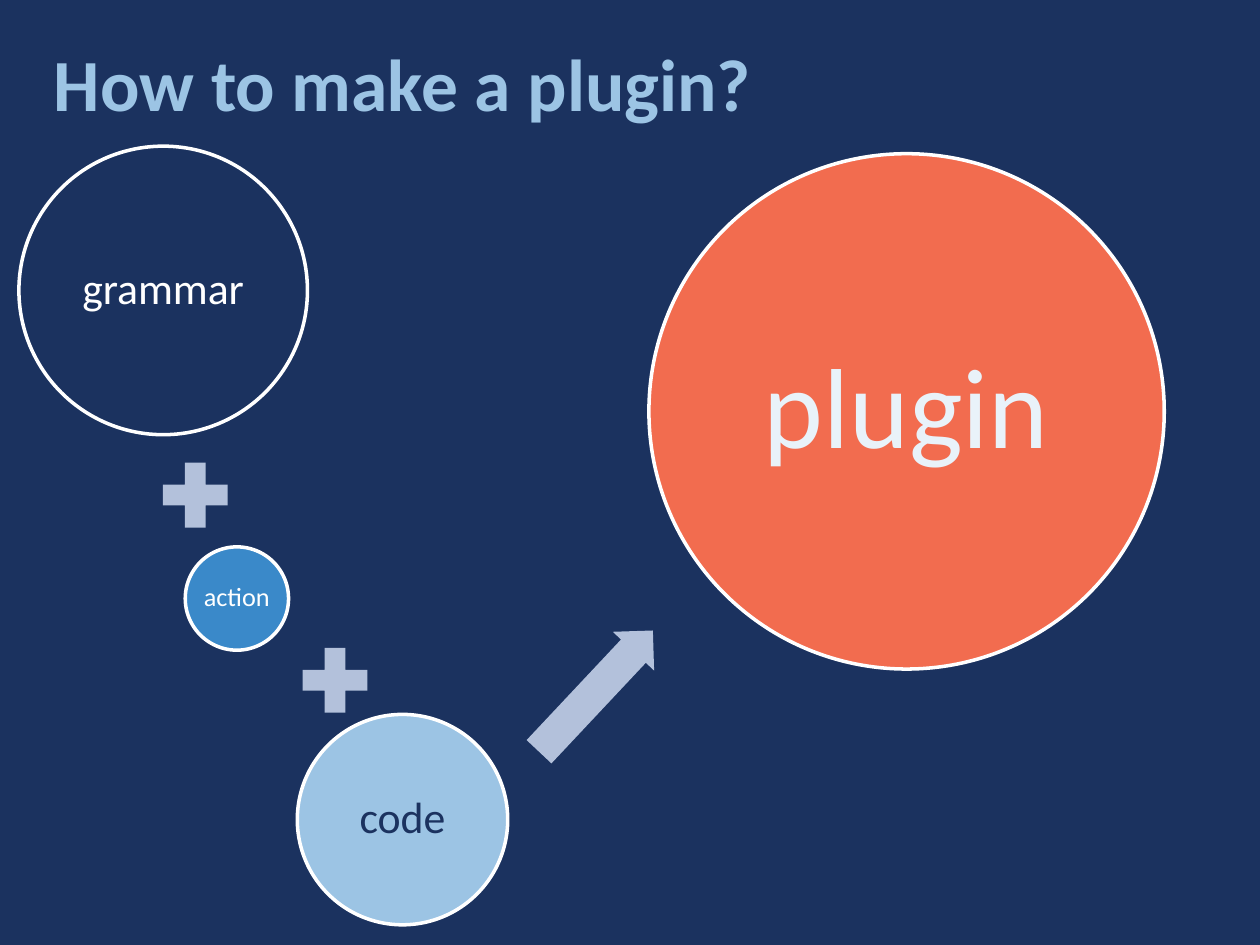
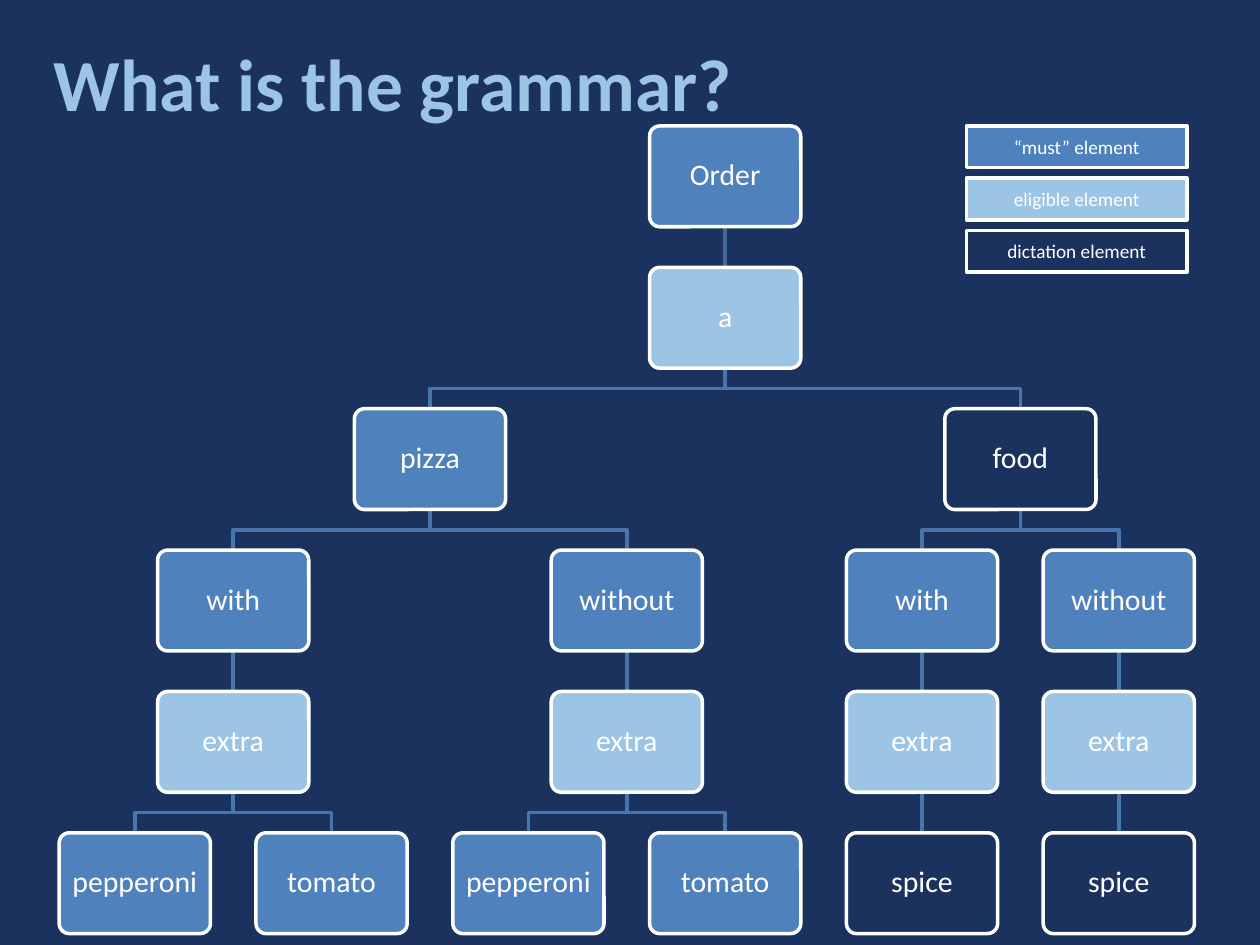
import pptx
import pptx.util
import pptx.dml.color
import pptx.enum.shapes
import pptx.enum.text
import pptx.oxml
import pptx.oxml.ns
from lxml import etree

Inches = pptx.util.Inches
Pt = pptx.util.Pt
RGBColor = pptx.dml.color.RGBColor
MSO_SHAPE = pptx.enum.shapes.MSO_SHAPE

# Shared colours and font
NAVY = RGBColor(0x1B, 0x32, 0x5F)
SKY = RGBColor(0x9C, 0xC4, 0xE4)
AZURE = RGBColor(0x3A, 0x89, 0xC9)
CORAL = RGBColor(0xF2, 0x6C, 0x4F)
ICE = RGBColor(0xE9, 0xF2, 0xF9)
LILAC = RGBColor(0xB3, 0xC1, 0xDB)
BLUE = RGBColor(0x4F, 0x81, 0xBD)
LINK = RGBColor(0x48, 0x75, 0xAC)
TOP_LINK = RGBColor(0x3F, 0x67, 0x97)
WHITE = RGBColor(0xFF, 0xFF, 0xFF)
FONT = "Calibri"
TITLE_OUTLINE = (
    '<a:ln xmlns:a="http://schemas.openxmlformats.org/drawingml/2006/main" w="12700">'
    '<a:solidFill><a:srgbClr val="0D0D0D"/></a:solidFill></a:ln>'
)


def add_titled_slide(title, width):
    s = prs.slides.add_slide(prs.slide_layouts[6])
    s.background.fill.solid()
    s.background.fill.fore_color.rgb = NAVY
    sp = s.shapes.add_textbox(Inches(0.33), Inches(0.25), Inches(width), Inches(0.81))
    tf = sp.text_frame
    tf.word_wrap = False
    tf.auto_size = pptx.enum.text.MSO_AUTO_SIZE.SHAPE_TO_FIT_TEXT
    p = tf.paragraphs[0]
    p.font.name, p.font.size, p.font.bold = FONT, Pt(42), True
    p.font.color.rgb = SKY
    r = p.add_run()
    r.text = title
    r._r.get_or_add_rPr().insert(0, pptx.oxml.parse_xml(TITLE_OUTLINE))
    return s


def add_block(s, kind, left, top, width, height, fill, text="", size=17,
              color=WHITE, spacing=0.9):
    """Add a filled shape; one with text also gets a white border."""
    sp = s.shapes.add_shape(kind, Inches(left), Inches(top), Inches(width), Inches(height))
    sp.shadow.inherit = False
    sp.fill.solid()
    sp.fill.fore_color.rgb = fill
    if not text:
        sp.line.fill.background()
        return sp
    sp.line.color.rgb = WHITE
    sp.line.width = Pt(2)
    tf = sp.text_frame
    tf.word_wrap = False
    tf.vertical_anchor = pptx.enum.text.MSO_ANCHOR.MIDDLE
    tf.margin_left = tf.margin_right = tf.margin_top = tf.margin_bottom = Inches(0.03)
    p = tf.paragraphs[0]
    p.text = text
    p.alignment = pptx.enum.text.PP_ALIGN.CENTER
    p.line_spacing = spacing
    p.font.name, p.font.size = FONT, Pt(size)
    p.font.color.rgb = color
    return sp


prs = pptx.Presentation()
prs.slide_width, prs.slide_height = Inches(10), Inches(7.5)

# Slide 1: grammar + action + code -> plugin
s = add_titled_slide("How to make a plugin?", 5.79)
for text, left, top, diameter, fill, size, color in [
    ("grammar", 0.15, 1.16, 2.29, NAVY, 25, WHITE),
    ("action", 1.47, 4.34, 0.82, AZURE, 15, WHITE),
    ("code", 2.36, 5.67, 1.67, SKY, 25, NAVY),
    ("plugin", 5.15, 1.22, 4.09, CORAL, 65, ICE),
]:
    add_block(s, MSO_SHAPE.OVAL, left, top, diameter, diameter, fill, text, size, color)
for left, top in [(1.2, 3.58), (2.31, 5.05)]:
    add_block(s, MSO_SHAPE.MATH_PLUS, left, top, 0.7, 0.7, LILAC)
arrow = add_block(s, MSO_SHAPE.RIGHT_ARROW, 4.07, 5.26, 1.32, 0.45, LILAC)
arrow.adjustments[0], arrow.adjustments[1] = 0.6, 0.5
arrow.rotation = 313.2

# Slide 2: grammar tree as (word, fill, column, row, parent index)
s = add_titled_slide("What is the grammar?", 5.63)
MUST, ELIGIBLE, DICTATION = BLUE, SKY, NAVY
nodes = [
    ("Order", MUST, 3, 0, None),
    ("a", ELIGIBLE, 3, 1, 0),
    ("pizza", MUST, 1.5, 2, 1),
    ("food", DICTATION, 4.5, 2, 1),
    ("with", MUST, 0.5, 3, 2),
    ("without", MUST, 2.5, 3, 2),
    ("with", MUST, 4, 3, 3),
    ("without", MUST, 5, 3, 3),
    ("extra", ELIGIBLE, 0.5, 4, 4),
    ("extra", ELIGIBLE, 2.5, 4, 5),
    ("extra", ELIGIBLE, 4, 4, 6),
    ("extra", ELIGIBLE, 5, 4, 7),
    ("pepperoni", MUST, 0, 5, 8),
    ("tomato", MUST, 1, 5, 8),
    ("pepperoni", MUST, 2, 5, 9),
    ("tomato", MUST, 3, 5, 9),
    ("spice", DICTATION, 4, 5, 10),
    ("spice", DICTATION, 5, 5, 11),
]
BOX_W, BOX_H = 1.2, 0.8
FIRST_X, LAST_X = 1.07, 8.88
FIRST_TOP, LAST_TOP = 1.0, 6.61
centers = [FIRST_X + column * (LAST_X - FIRST_X) / 5 for _, _, column, _, _ in nodes]
tops = [FIRST_TOP + row * (LAST_TOP - FIRST_TOP) / 5 for _, _, _, row, _ in nodes]

# Links: straight below the parent, otherwise bent halfway
for i, (_, _, column, row, parent) in enumerate(nodes):
    if parent is None:
        continue
    x1, y1 = Inches(centers[parent]), Inches(tops[parent] + BOX_H)
    x2, y2 = Inches(centers[i]), Inches(tops[i])
    if column == nodes[parent][2]:
        link = s.shapes.add_connector(
            pptx.enum.shapes.MSO_CONNECTOR.STRAIGHT, x1, y1, x2, y2)
        etree.SubElement(link._element.spPr, pptx.oxml.ns.qn("a:effectLst"))
    else:
        middle = (y1 + y2) // 2
        fb = s.shapes.build_freeform(x1, y1)
        fb.add_line_segments([(x1, middle), (x2, middle), (x2, y2)], close=False)
        link = fb.convert_to_shape()
        link.shadow.inherit = False
        link.fill.background()
    link.line.color.rgb = TOP_LINK if row == 1 else LINK
    link.line.width = Pt(2)

# Boxes
for (word, fill, _, _, _), x, top in zip(nodes, centers, tops):
    sp = add_block(s, MSO_SHAPE.ROUNDED_RECTANGLE, x - BOX_W / 2, top,
                   BOX_W, BOX_H, fill, word)
    sp.adjustments[0] = 0.1

# Legend
for i, (text, fill) in enumerate([
    ("“must” element", MUST),
    ("eligible element", ELIGIBLE),
    ("dictation element", DICTATION),
]):
    add_block(s, MSO_SHAPE.RECTANGLE, 7.67, 1 + i * 0.415, 1.75, 0.33, fill, text, 11,
              spacing=1.0)

prs.save("out.pptx")
